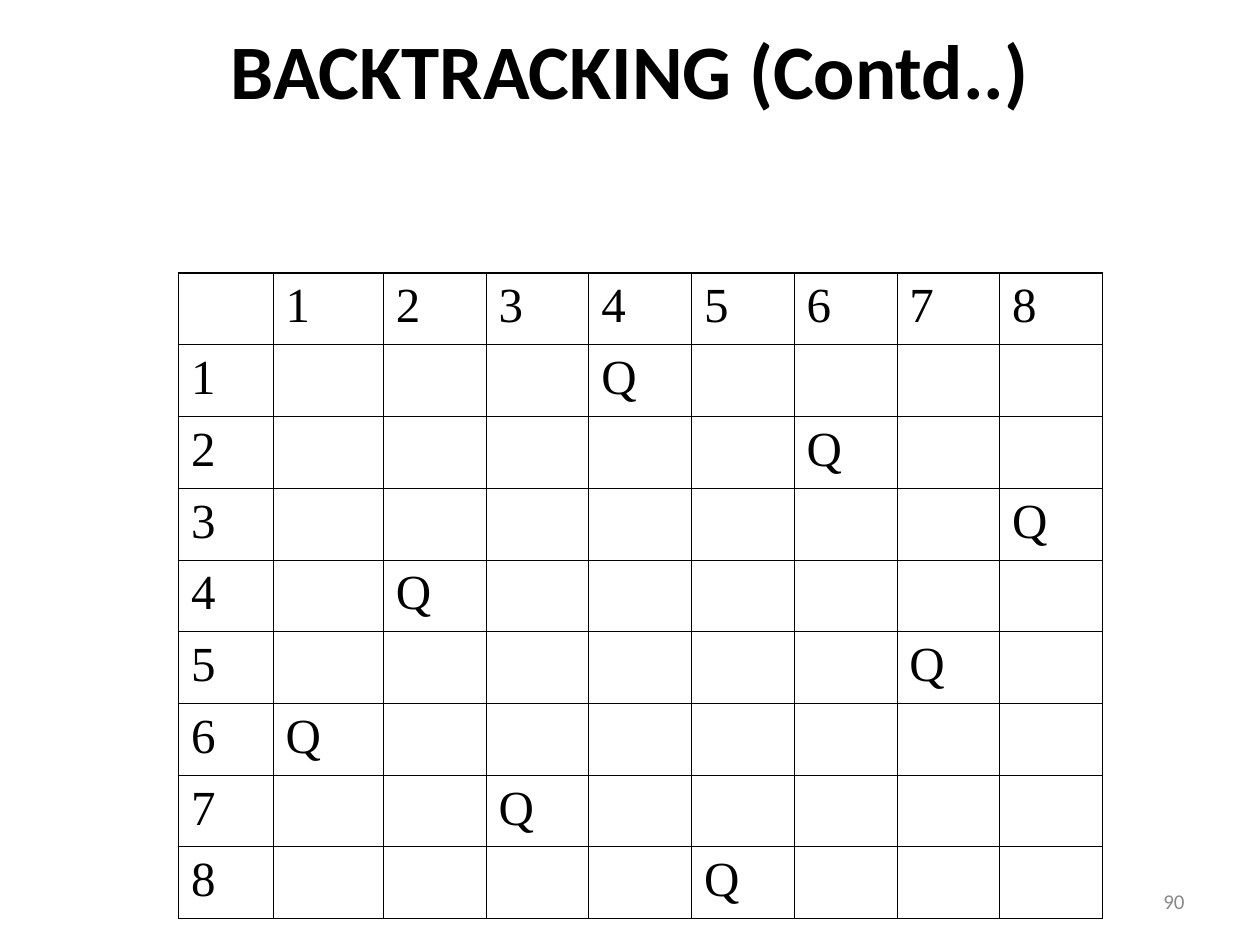
from lxml.etree import SubElement
from pptx import Presentation
from pptx.dml.color import RGBColor
from pptx.enum.text import MSO_ANCHOR as Anchor, PP_ALIGN as Align
from pptx.oxml.ns import qn
from pptx.util import Pt

BLACK = RGBColor(0, 0, 0)
GRAY = RGBColor(0x89, 0x89, 0x89)
THIN, THICK = 0.45, 1.08
BOARD_SIZE = 8
QUEEN_COLUMNS = [4, 6, 8, 2, 7, 1, 3, 5]


def write_text(frame, text, size, font="Calibri", color=BLACK, bold=False, align=Align.LEFT):
    para = frame.paragraphs[0]
    para.alignment = align
    span = para.add_run()
    span.text = text
    span.font.name = font
    span.font.size = Pt(size)
    span.font.bold = bold
    span.font.color.rgb = color


def add_label(page, box, text, anchor, **style):
    frame = page.shapes.add_textbox(*map(Pt, box)).text_frame
    frame.word_wrap = True
    frame.vertical_anchor = anchor
    write_text(frame, text, **style)


def set_borders(cell, row, column):
    outer = {
        "a:lnL": column == 0,
        "a:lnR": column == BOARD_SIZE,
        "a:lnT": row == 0,
        "a:lnB": row == BOARD_SIZE,
    }
    properties = cell._tc.get_or_add_tcPr()
    for side, is_outer in outer.items():
        width = Pt(THICK if is_outer else THIN)
        line = SubElement(properties, qn(side), w=str(width))
        fill = SubElement(line, qn("a:solidFill"))
        SubElement(fill, qn("a:srgbClr"), val=str(BLACK))


def cell_text(row, column):
    if row == 0 or column == 0:
        return str(row + column) if row + column else ""
    return "Q" if QUEEN_COLUMNS[row - 1] == column else ""


def add_board(page, box):
    left, top, width, height = box
    count = BOARD_SIZE + 1
    board = page.shapes.add_table(count, count, *map(Pt, box)).table
    board.first_row = board.horz_banding = False
    label_width, first_width = 54, 63
    other_width = (width - label_width - first_width) / (BOARD_SIZE - 1)
    widths = [label_width, first_width] + [other_width] * (BOARD_SIZE - 1)
    for column, column_width in zip(board.columns, widths):
        column.width = Pt(column_width)
    for row in board.rows:
        row.height = Pt(height / count)
    for row in range(count):
        for column in range(count):
            cell = board.cell(row, column)
            set_borders(cell, row, column)
            cell.fill.background()
            text = cell_text(row, column)
            if text:
                write_text(cell.text_frame, text, 28, font="Times New Roman")


def main():
    deck = Presentation()
    deck.slide_width, deck.slide_height = Pt(720), Pt(540)
    page = deck.slides.add_slide(deck.slide_layouts[6])
    add_label(page, (516, 500.5, 168, 28.8), "90", Anchor.MIDDLE,
              size=12, color=GRAY, align=Align.RIGHT)
    add_label(page, (36, 9.5, 648, 90), "BACKTRACKING (Contd..)", Anchor.TOP,
              size=44, bold=True, align=Align.CENTER)
    add_board(page, (102, 156, 528, 369))
    deck.save("out.pptx")


if __name__ == "__main__":
    main()
